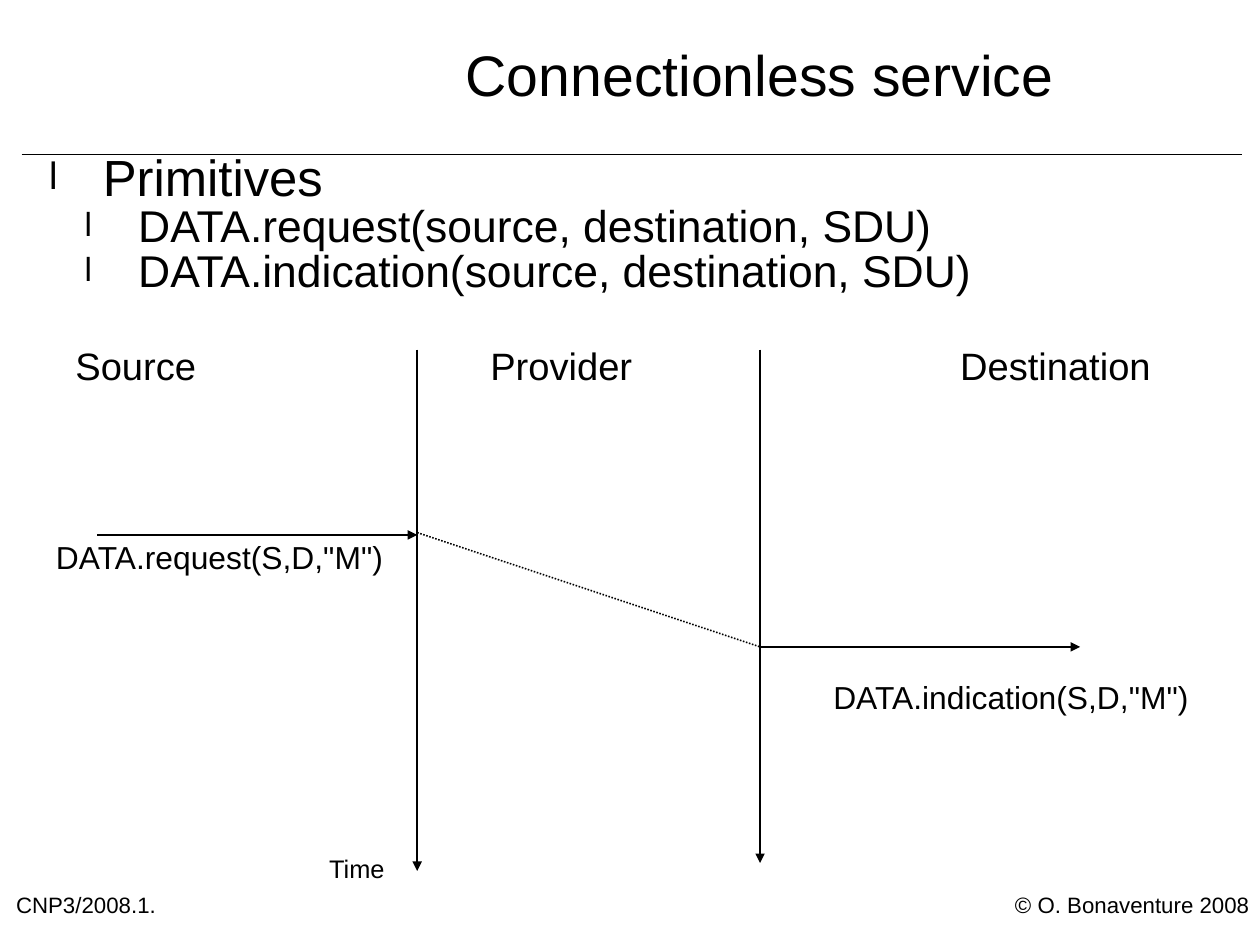
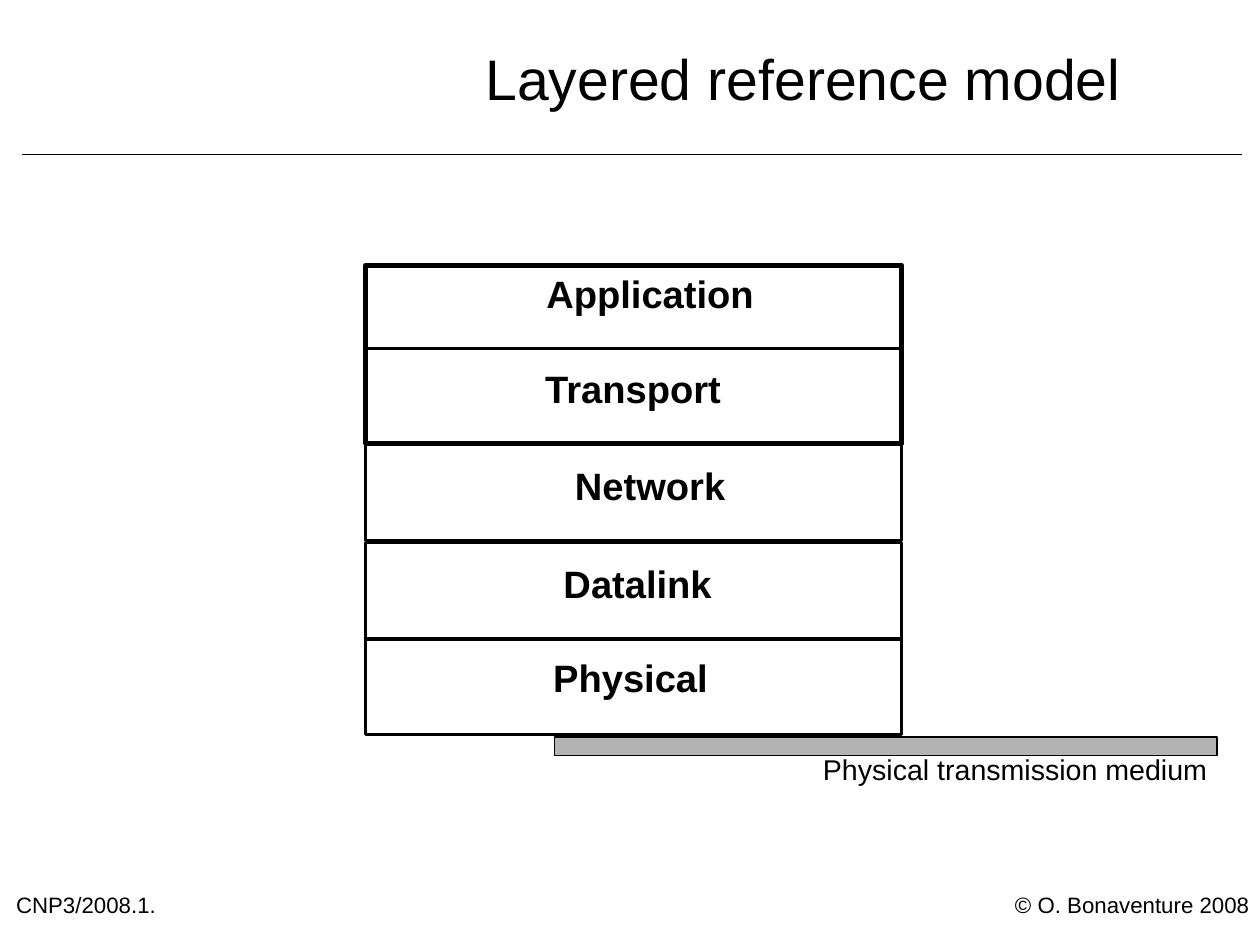
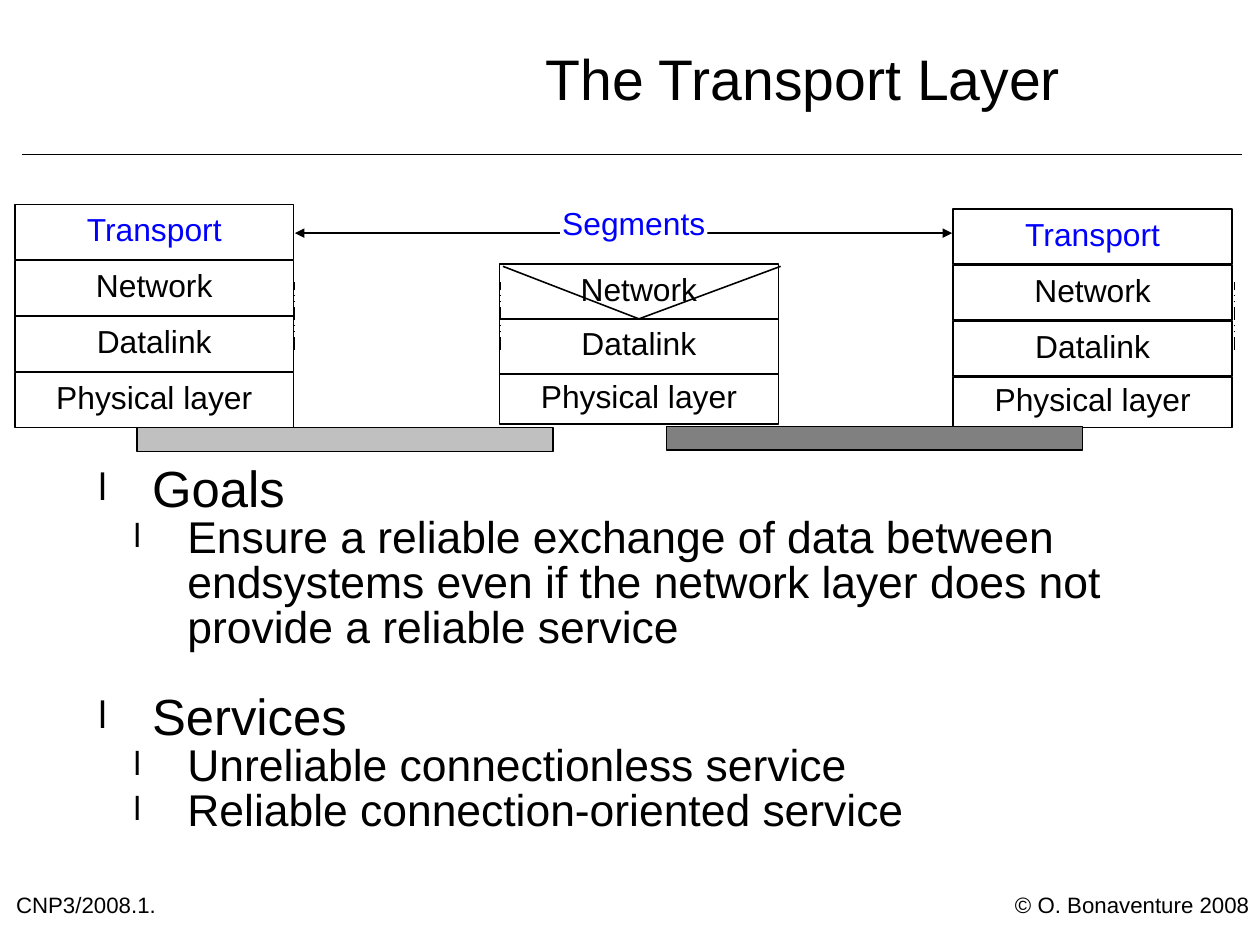
"""Build three slides on connectionless service and the transport layer."""
from lxml import etree
from pptx import Presentation
from pptx.dml.color import RGBColor
from pptx.enum.dml import MSO_LINE
from pptx.enum.shapes import MSO_CONNECTOR, MSO_SHAPE
from pptx.enum.text import MSO_ANCHOR, PP_ALIGN
from pptx.oxml.ns import qn
from pptx.util import Cm, Inches, Pt

FONT = "Arial"
COLOURS = {
    "black": "000000",
    "white": "FFFFFF",
    "blue": "0000FF",
    "light_medium": "C0C0C0",
    "medium": "B3B3B3",
    "dark_medium": "808080",
}
LEFT, CENTER = PP_ALIGN.LEFT, PP_ALIGN.CENTER
TOP, MIDDLE = MSO_ANCHOR.TOP, MSO_ANCHOR.MIDDLE
STRAIGHT, RECTANGLE = MSO_CONNECTOR.STRAIGHT, MSO_SHAPE.RECTANGLE
DOTTED, DASH_DOT_DOT = MSO_LINE.ROUND_DOT, MSO_LINE.DASH_DOT_DOT
BOTTOM_SIDE = 2
LINE_SPACING = 0.84
BULLET_SIZES = (32, 28)
BULLET_MARGINS = (0.55, 0.86)
BULLET_INDENT = -0.47


def colour(name):
    """Return the named colour."""
    return RGBColor.from_string(COLOURS[name])


def prepare_frame(shape, anchor=TOP, inset=(0, 0)):
    """Set the wrapping, anchor and left and top insets of a text frame."""
    frame = shape.text_frame
    frame.word_wrap = True
    frame.vertical_anchor = anchor
    frame.margin_left, frame.margin_top = (Inches(length) for length in inset)
    frame.margin_right = frame.margin_bottom = 0
    return frame


def write(paragraph, text, size=20, bold=False, ink="black", align=LEFT, before=0):
    """Write formatted text into a paragraph."""
    paragraph.text = text
    paragraph.alignment = align
    paragraph.line_spacing = LINE_SPACING
    paragraph.space_before = Pt(before)
    font = paragraph.font
    font.name, font.size, font.bold = FONT, Pt(size), bold
    font.color.rgb = colour(ink)


def add_text(slide, text, left, top, width, height, anchor=TOP, **text_format):
    """Add a text box holding one paragraph."""
    shape = slide.shapes.add_textbox(*map(Inches, (left, top, width, height)))
    write(prepare_frame(shape, anchor).paragraphs[0], text, **text_format)


def add_box(slide, left, top, width, height, weight=1, fill=None):
    """Add a rectangle, outlined unless its weight is zero."""
    shape = slide.shapes.add_shape(RECTANGLE, *map(Inches, (left, top, width, height)))
    shape.shadow.inherit = False
    if fill:
        shape.fill.solid()
        shape.fill.fore_color.rgb = colour(fill)
    else:
        shape.fill.background()
    if weight:
        shape.line.color.rgb = colour("black")
        shape.line.width = Pt(weight)
    else:
        shape.line.fill.background()
    return shape


def add_line(slide, start, end, dash=None, head=False, tail=False):
    """Add a straight line with optional dashes and arrowheads."""
    connector = slide.shapes.add_connector(STRAIGHT, *map(Inches, start + end))
    connector.line.color.rgb = colour("black")
    connector.line.width = Pt(1)
    if dash:
        connector.line.dash_style = dash
    outline = connector.line._get_or_add_ln()
    for tag, wanted in (("a:headEnd", head), ("a:tailEnd", tail)):
        if wanted:
            etree.SubElement(outline, qn(tag), type="triangle")
    etree.SubElement(connector._element.spPr, qn("a:effectLst"))
    return connector


def add_bullet(paragraph, level):
    """Give a paragraph the bullet and indent of its level."""
    paragraph.level = level
    properties = paragraph._p.get_or_add_pPr()
    properties.set("marL", str(Inches(BULLET_MARGINS[level])))
    properties.set("indent", str(Inches(BULLET_INDENT)))
    bullet_colour = etree.SubElement(properties, qn("a:buClr"))
    etree.SubElement(bullet_colour, qn("a:srgbClr"), val=COLOURS["black"])
    etree.SubElement(properties, qn("a:buSzPct"), val="75000")
    etree.SubElement(properties, qn("a:buFont"), typeface=FONT)
    etree.SubElement(properties, qn("a:buChar"), char="l")


def add_bullets(slide, items, left, top, width, height):
    """Add a bulleted list of (level, text, space before) items."""
    shape = slide.shapes.add_textbox(*map(Inches, (left, top, width, height)))
    frame = prepare_frame(shape)
    for index, (level, text, before) in enumerate(items):
        paragraph = frame.add_paragraph() if index else frame.paragraphs[0]
        add_bullet(paragraph, level)
        write(paragraph, text, size=BULLET_SIZES[level], before=before)


def add_slide(presentation, title, left=3.73, width=6.59, height=1.46):
    """Add a slide with its title, rule and footers."""
    slide = presentation.slides.add_slide(presentation.slide_layouts[6])
    add_line(slide, (0.19, 1.35), (10.87, 1.35))
    add_text(slide, "© O. Bonaventure 2008", 8.88, 7.84, 2.12, 0.2, size=14)
    add_text(slide, "CNP3/2008.1.", 0.14, 7.84, 1.68, 0.24, size=14)
    add_text(slide, title, left, 0, width, height, anchor=MIDDLE, size=36, align=CENTER)
    return slide


def add_stack(slide, names, left, top, step, last_height):
    """Add a column of protocol layers and return its boxes by name."""
    boxes = {}
    for index, name in enumerate(names):
        height = last_height if index == len(names) - 1 else 0.48
        box = add_box(slide, left, top + index * step, 2.44, height)
        ink = "blue" if name == "Transport" else "black"
        write(prepare_frame(box, MIDDLE).paragraphs[0], name, ink=ink, align=CENTER)
        boxes[name] = box
    return boxes


def build_service_slide(presentation):
    """Build the time diagram of the connectionless service."""
    slide = add_slide(presentation, "Connectionless service", 2.78, 7.73, 1.38)
    add_bullets(slide, [
        (0, "Primitives", 0),
        (1, "DATA.request(source, destination, SDU)", 0),
        (1, "DATA.indication(source, destination, SDU)", 0),
    ], 0.35, 1.36, 10.23, 6.15)
    source_x, destination_x = 3.65, 6.65
    add_line(slide, (source_x, 3.06), (source_x, 7.62), tail=True)
    add_line(slide, (destination_x, 3.06), (destination_x, 7.55), tail=True)
    for text, left in (("Source", 0.66), ("Provider", 4.29), ("Destination", 8.4)):
        add_text(slide, text, left, 3.06, 1.7, 0.34, size=24)
    add_line(slide, (0.85, 4.68), (source_x, 4.68), tail=True)
    add_line(slide, (source_x, 4.66), (destination_x, 5.66), dash=DOTTED)
    add_line(slide, (destination_x, 5.66), (9.45, 5.66), tail=True)
    add_text(slide, 'DATA.request(S,D,"M")', 0.49, 4.76, 3, 0.28)
    add_text(slide, 'DATA.indication(S,D,"M")', 7.29, 5.98, 3.25, 0.28)
    add_text(slide, "Time", 2.88, 7.51, 0.55, 0.22, size=16)


def build_model_slide(presentation):
    """Build the five-layer reference model."""
    slide = add_slide(presentation, "Layered reference model")
    box_left = 3.2
    layers = [
        ("Application", 2.32, 1.56, 3, 4.78, 2.43),
        ("Transport", 3.05, 0.84, 2, 4.77, 3.26),
        ("Network", 3.88, 0.85, 2, 5.03, 4.11),
        ("Datalink", 4.75, 0.84, 2, 4.93, 4.97),
        ("Physical", 5.59, 0.84, 2, 4.84, 5.79),
    ]
    for name, top, height, weight, text_left, text_top in layers:
        box = add_box(slide, box_left, top, 4.69, height, weight)
        frame = prepare_frame(box, inset=(text_left - box_left, text_top - top))
        write(frame.paragraphs[0], name, size=24, bold=True)
    add_box(slide, 4.85, 6.45, 5.8, 0.16, fill="medium")
    add_text(slide, "Physical transmission medium", 7.2, 6.63, 3.45, 0.25, size=18)


def build_transport_slide(presentation):
    """Build the transport layer between two endsystems."""
    slide = add_slide(presentation, "The Transport Layer")
    add_bullets(slide, [
        (0, "Goals", 0),
        (1, "Ensure a reliable exchange of data between endsystems even if "
            "the network layer does not provide a reliable service", 0),
        (0, "Services", 27),
        (1, "Unreliable connectionless service", 0),
        (1, "Reliable connection-oriented service", 0),
    ], 0.78, 4.08, 9.41, 4.18)

    layers = ["Transport", "Network", "Datalink", "Physical layer"]
    add_stack(slide, layers, 0.13, 1.79, 0.49, 0.48)
    router = add_stack(slide, layers[1:], 4.37, 2.31, 0.48, 0.44)
    add_stack(slide, layers, 8.34, 1.83, 0.49, 0.44)
    add_box(slide, 1.2, 3.74, 3.64, 0.21, fill="light_medium")
    add_box(slide, 5.83, 3.73, 3.64, 0.21, fill="dark_medium")
    for edge in (0.13, 2.57, 4.38, 10.8):
        add_line(slide, (edge, 3.06), (edge, 2.47), dash=DASH_DOT_DOT)
    for corner in (4.4, 6.83):
        diagonal = add_line(slide, (corner, 2.33), (5.59, 2.79))
        diagonal.end_connect(router["Network"], BOTTOM_SIDE)

    add_line(slide, (2.58, 2.04), (8.33, 2.04), head=True, tail=True)
    label = add_box(slide, 4.9, 1.84, 1.29, 0.32, weight=0, fill="white")
    write(prepare_frame(label).paragraphs[0], "Segments", ink="blue", align=CENTER)


def main():
    """Build and save the presentation."""
    presentation = Presentation()
    presentation.slide_width = Cm(28)
    presentation.slide_height = Cm(21)
    build_service_slide(presentation)
    build_model_slide(presentation)
    build_transport_slide(presentation)
    presentation.save("out.pptx")


if __name__ == "__main__":
    main()
